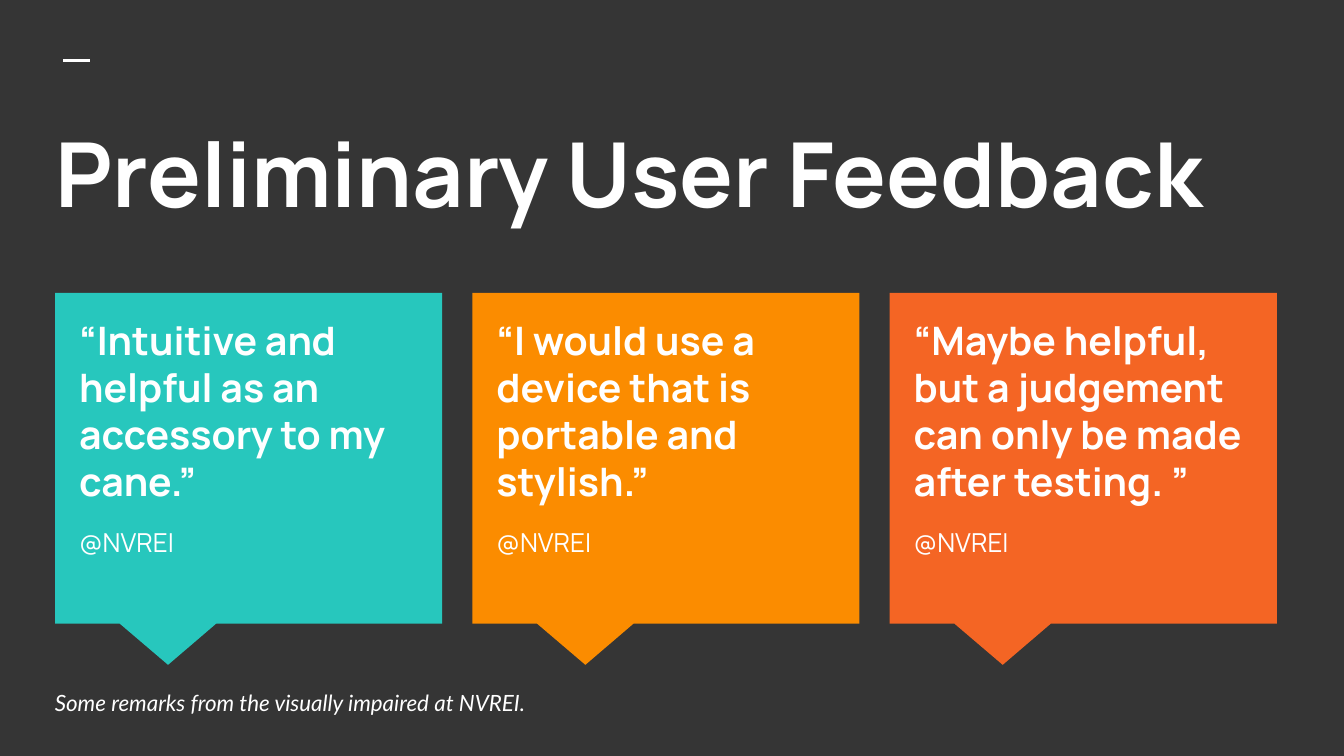
import pptx
import pptx.util
import pptx.dml.color
import pptx.enum.shapes
import pptx.enum.text
import pptx.oxml.ns
from lxml import etree

Inches = pptx.util.Inches
Pt = pptx.util.Pt
RGBColor = pptx.dml.color.RGBColor
MSO_ANCHOR = pptx.enum.text.MSO_ANCHOR

DARK = RGBColor(0x35, 0x35, 0x35)
WHITE = RGBColor(0xFF, 0xFF, 0xFF)
TEAL = RGBColor(0x27, 0xC7, 0xBD)
AMBER = RGBColor(0xFB, 0x8C, 0x00)
ORANGE = RGBColor(0xF4, 0x65, 0x24)

FIRST_CARD, LAST_CARD = 0.41, 6.62
CARD_TOP, CARD_WIDTH, CARD_HEIGHT = 2.18, 2.88, 2.46
CLINIC = "NVREI"
QUOTES = [
    ("“Intuitive and helpful as an accessory to my cane.”", TEAL),
    ("“I would use a device that is portable and stylish.”", AMBER),
    ("“Maybe helpful, but a judgement can only be made after testing. ”", ORANGE),
]


class Deck:
    heading_font = "Manrope"
    note_font = "Lato"

    def __init__(self):
        self.prs = pptx.Presentation()
        self.prs.slide_width = Inches(10)
        self.prs.slide_height = Inches(10) * 9 // 16
        self.s = self.prs.slides.add_slide(self.prs.slide_layouts[5])
        fill = self.s.background.fill
        fill.solid()
        fill.fore_color.rgb = DARK

    def frame(self, sp, anchor):
        tf = sp.text_frame
        tf.word_wrap = True
        tf.auto_size = pptx.enum.text.MSO_AUTO_SIZE.NONE
        tf.vertical_anchor = anchor
        tf.margin_left = tf.margin_right = Inches(0.1)
        tf.margin_top = tf.margin_bottom = Inches(0.1)
        return tf

    def paragraph(self, p, text, size, font, bold=False, italic=False):
        p.text = text
        p.alignment = pptx.enum.text.PP_ALIGN.LEFT
        for r in p.runs:
            r.font.name = font
            r.font.size = Pt(size)
            r.font.bold = bold
            r.font.italic = italic
            r.font.color.rgb = WHITE

    def text_box(self, x, y, w, h, anchor):
        sp = self.s.shapes.add_textbox(Inches(x), Inches(y), Inches(w), Inches(h))
        return self.frame(sp, anchor)

    def dash(self, x1, x2, y):
        line = self.s.shapes.add_connector(
            pptx.enum.shapes.MSO_CONNECTOR.STRAIGHT,
            Inches(x1), Inches(y), Inches(x2), Inches(y))
        line.line.color.rgb = WHITE
        line.line.width = Pt(1.5)
        etree.SubElement(line._element.spPr, pptx.oxml.ns.qn("a:effectLst"))

    def title(self, text, x, y, w, h):
        sp = self.s.shapes.title
        sp.left, sp.top, sp.width, sp.height = Inches(x), Inches(y), Inches(w), Inches(h)
        p = self.frame(sp, MSO_ANCHOR.TOP).paragraphs[0]
        self.paragraph(p, text, 48, self.heading_font, bold=True)

    def callout(self, x, color):
        sp = self.s.shapes.add_shape(
            pptx.enum.shapes.MSO_SHAPE.RECTANGULAR_CALLOUT,
            Inches(x), Inches(CARD_TOP), Inches(CARD_WIDTH), Inches(CARD_HEIGHT))
        sp.adjustments[0] = -0.208
        sp.adjustments[1] = 0.625
        sp.shadow.inherit = False
        sp.fill.solid()
        sp.fill.fore_color.rgb = color
        sp.line.fill.background()

    def quote(self, x, text, source):
        tf = self.text_box(x + 0.08, CARD_TOP + 0.07, 2.71, 2.19, MSO_ANCHOR.TOP)
        self.paragraph(tf.paragraphs[0], text, 21, self.heading_font, bold=True)
        p = tf.add_paragraph()
        self.paragraph(p, source, 14, self.heading_font)
        p.space_before = p.space_after = Pt(12)

    def note(self, text, x, y, w, h):
        p = self.text_box(x, y, w, h, MSO_ANCHOR.MIDDLE).paragraphs[0]
        self.paragraph(p, text, 12, self.note_font, italic=True)


def main():
    deck = Deck()
    deck.dash(0.47, 0.67, 0.45)
    deck.title("Preliminary User Feedback", 0.31, 0.78, 9.43, 1.12)
    step = (LAST_CARD - FIRST_CARD) / (len(QUOTES) - 1)
    for i, (text, color) in enumerate(QUOTES):
        x = FIRST_CARD + i * step
        deck.callout(x, color)
        deck.quote(x, text, f"@{CLINIC}")
    deck.note(f"Some remarks from the visually impaired at {CLINIC}.", 0.31, 5.09, 6.83, 0.28)
    deck.prs.save("out.pptx")


if __name__ == "__main__":
    main()
